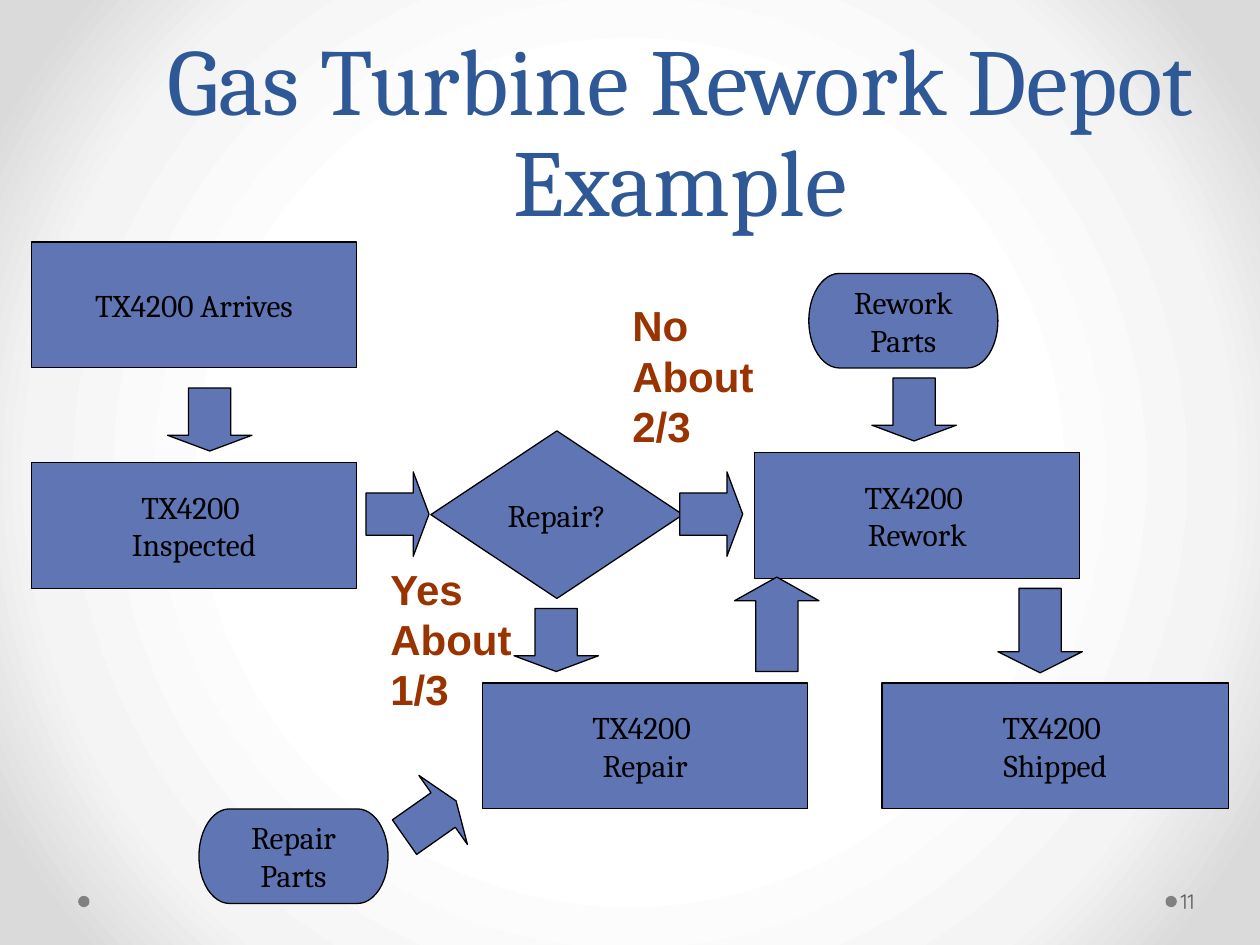
from pptx import Presentation
from pptx import util as u
from pptx.dml.color import RGBColor
from pptx.enum import shapes, text
from pptx.oxml import parse_xml
from pptx.oxml.ns import nsdecls

COLORS = {"box": "6076B4", "line": "000000", "title": "2F5897",
          "branch": "993300", "dot": "808080", "number": "595959"}
BACKDROP = [(50, "FFFFFF"), (76, "F4F4F4"), (92, "DADADA")]

TITLE = "Gas Turbine Rework Depot Example"
PAGE = "11"
KIND = shapes.MSO_SHAPE
STEP = KIND.RECTANGLE
SUPPLY = KIND.FLOWCHART_TERMINATOR
NODES = [
    (STEP, 0.25, 1.92, 2.58, 1, ["TX4200 Arrives"]),
    (KIND.FLOWCHART_DECISION, 3.42, 3.42, 2, 1.33, ["Repair?"]),
    (STEP, 0.25, 3.67, 2.58, 1, ["TX4200 ", "Inspected"]),
    (STEP, 5.99, 3.59, 2.58, 1, ["TX4200 ", "Rework"]),
    (SUPPLY, 6.42, 2.17, 1.5, 0.75, ["Rework", "Parts"]),
    (STEP, 3.83, 5.42, 2.58, 1, ["TX4200 ", "Repair"]),
    (STEP, 7, 5.42, 2.75, 1, ["TX4200 ", "Shipped"]),
    (SUPPLY, 1.58, 6.42, 1.5, 0.75, ["Repair", "Parts"]),
]
ARROW_W = 0.67
ARROWS = [
    (1.33, 3.08, 0.5, 0, 0.25),
    (2.82, 3.83, 0.5, 270, 0.25),
    (4.08, 4.83, 0.5, 0, 0.25),
    (7.92, 4.67, 0.67, 0, 0.25),
    (6.92, 3, 0.5, 0, 0.25),
    (3.08, 6.25, 0.5, 234.9, 0.25),
    (5.31, 3.83, 0.5, 270, 0.25),
    (5.83, 4.58, 0.75, 180, 0.28),
]
BRANCHES = [
    (3, 4.42, 1.3, 1.3, True, ["Yes", "About 1/3"]),
    (4.92, 2.33, 1.16, 1.3, False, ["No", "About", "2/3"]),
]
DOTS = [9.25, 0.62]


def rgb(name):
    return RGBColor.from_string(COLORS[name])


def inches(*values):
    return [u.Inches(v) for v in values]


def write(tf, lines, size, font, color, align, bold=False):
    for i, line in enumerate(lines):
        p = tf.paragraphs[0] if i == 0 else tf.add_paragraph()
        p.alignment = align
        r = p.add_run()
        r.text = line
        r.font.size = u.Pt(size)
        r.font.name = font
        r.font.bold = bold
        r.font.color.rgb = rgb(color)


def add_shape(s, kind, box, fill="box", line="line"):
    sp = s.shapes.add_shape(kind, *inches(*box))
    sp.shadow.inherit = False
    sp.fill.solid()
    sp.fill.fore_color.rgb = rgb(fill)
    if line:
        sp.line.color.rgb = rgb(line)
        sp.line.width = u.Pt(0.75)
    else:
        sp.line.fill.background()
    return sp


def set_backdrop(s):
    stops = "".join(f'<a:gs pos="{pos * 1000}"><a:srgbClr val="{c}"/></a:gs>'
                    for pos, c in BACKDROP)
    bg = parse_xml(
        f'<p:bg {nsdecls("p", "a")}><p:bgPr><a:gradFill rotWithShape="1">'
        f'<a:gsLst>{stops}</a:gsLst><a:path path="circle">'
        '<a:fillToRect l="50000" t="50000" r="50000" b="50000"/></a:path>'
        '</a:gradFill><a:effectLst/></p:bgPr></p:bg>')
    s.element.cSld.insert(0, bg)


def main():
    left, center = text.PP_ALIGN.LEFT, text.PP_ALIGN.CENTER
    middle = text.MSO_ANCHOR.MIDDLE
    prs = Presentation()
    prs.slide_width, prs.slide_height = inches(10, 7.5)
    s = prs.slides.add_slide(prs.slide_layouts[5])
    set_backdrop(s)

    title = s.shapes.title
    title.left, title.top, title.width, title.height = inches(0.9, 0.17, 9, 1.75)
    tf = title.text_frame
    tf.auto_size = text.MSO_AUTO_SIZE.NONE
    tf.vertical_anchor = text.MSO_ANCHOR.BOTTOM
    write(tf, [TITLE], 54, "Cambria", "title", center)
    tf.paragraphs[0].line_spacing = u.Pt(58)

    for x in DOTS:
        add_shape(s, KIND.OVAL, (x, 7.11, 0.09, 0.09), "dot", None)

    tf = s.shapes.add_textbox(*inches(9.34, 6.95, 0.61, 0.4)).text_frame
    tf.word_wrap = True
    tf.vertical_anchor = middle
    tf.margin_left, tf.margin_right = inches(0.03, 0.05)
    write(tf, [PAGE], 12, "Quicksand", "number", left)

    for kind, *box, lines in NODES:
        tf = add_shape(s, kind, box).text_frame
        tf.word_wrap = False
        tf.vertical_anchor = middle
        write(tf, lines, 18, "Cambria", "line", center)

    for x, y, height, rotation, head in ARROWS:
        sp = add_shape(s, KIND.DOWN_ARROW, (x, y, ARROW_W, height))
        sp.rotation = rotation
        sp.adjustments[0] = 0.5
        sp.adjustments[1] = head

    for *box, wrap, lines in BRANCHES:
        tf = s.shapes.add_textbox(*inches(*box)).text_frame
        tf.word_wrap = wrap
        tf.auto_size = text.MSO_AUTO_SIZE.SHAPE_TO_FIT_TEXT
        write(tf, lines, 24, "Arial", "branch", left, True)

    prs.save("out.pptx")


if __name__ == "__main__":
    main()
